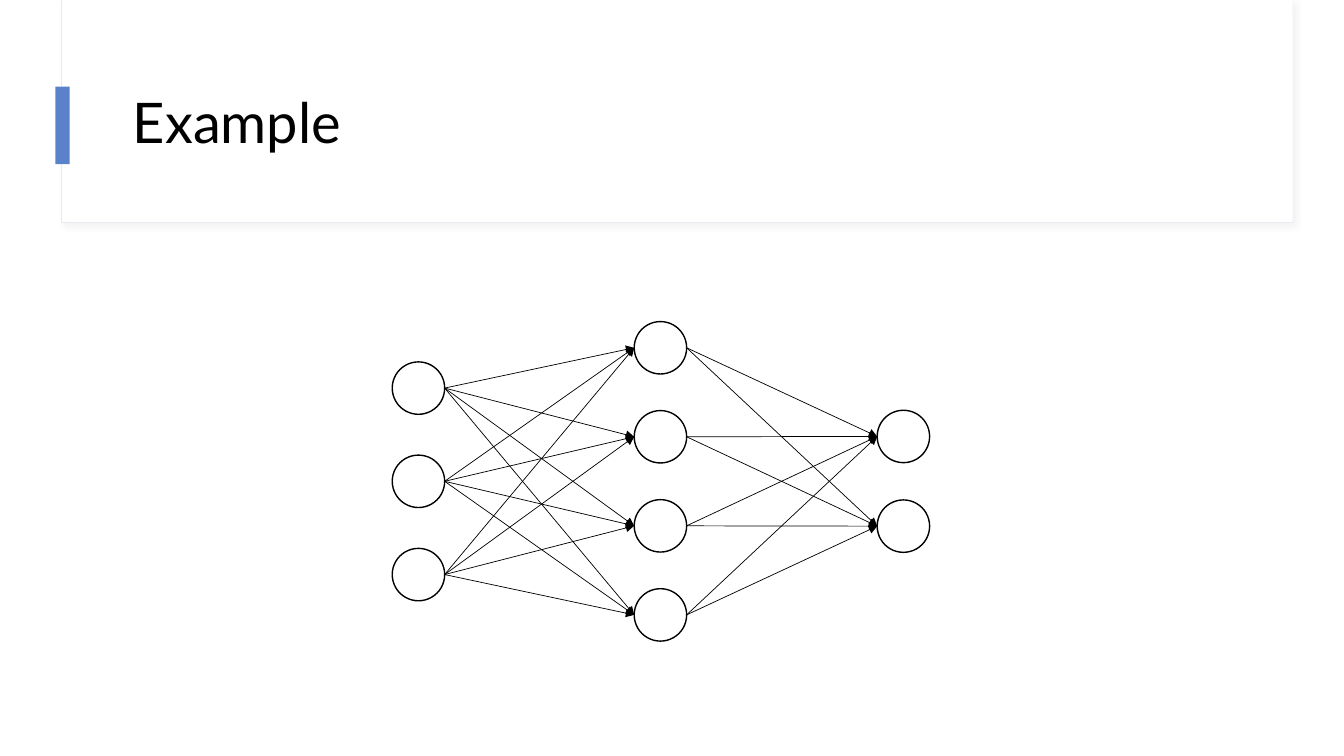
from itertools import pairwise, product

from lxml.etree import SubElement
from pptx import Presentation
from pptx.dml.color import RGBColor
from pptx.enum.shapes import MSO_CONNECTOR as CONNECTOR, MSO_SHAPE as SHAPE
from pptx.enum.text import MSO_ANCHOR as ANCHOR
from pptx.oxml.ns import qn
from pptx.util import Emu, Pt

EMU_PER_PX = 9144  # 100 px to the inch
BLACK = RGBColor(0x00, 0x00, 0x00)
WHITE = RGBColor(0xFF, 0xFF, 0xFF)
BLUE = RGBColor(0x5A, 0x82, 0xCB)
FRAME_GREY = RGBColor(0xE7, 0xEB, 0xF0)
SHADOW_GREY = RGBColor(0xD9, 0xD9, 0xD9)

NODE_SIZE = 52
# left, first top, last top, node count
LAYERS = [(389, 359, 544, 3), (629, 319, 584, 4), (870, 407, 496, 2)]


def px(length):
    return Emu(round(length * EMU_PER_PX))


class Board:
    """Draws elements on the current slide in one style."""

    font = "Lato"

    def __init__(self, slide):
        self.shapes = slide.shapes

    def shape(self, kind, x, y, w, h, fill, line=None, weight=1):
        sp = self.shapes.add_shape(kind, px(x), px(y), px(w), px(h))
        sp.shadow.inherit = False
        sp.fill.solid()
        sp.fill.fore_color.rgb = fill
        if line is None:
            sp.line.fill.background()
        else:
            sp.line.color.rgb = line
            sp.line.width = Pt(weight)
        return sp

    def cast_shadow(self, sp, color):
        effects = sp._element.spPr.find(qn("a:effectLst"))
        shadow = SubElement(effects, qn("a:outerShdw"), blurRad=str(Pt(4)),
                            dist=str(Pt(3)), dir="2700000", algn="tl",
                            rotWithShape="0")
        clr = SubElement(shadow, qn("a:srgbClr"), val=str(color))
        SubElement(clr, qn("a:alpha"), val="30000")

    def text(self, x, y, w, h, words, size):
        tf = self.shapes.add_textbox(px(x), px(y), px(w), px(h)).text_frame
        tf.word_wrap = True
        tf.vertical_anchor = ANCHOR.MIDDLE
        p = tf.paragraphs[0]
        p.line_spacing = 0.9
        r = p.add_run()
        r.text = words
        r.font.name = self.font
        r.font.size = Pt(size)
        r.font.color.rgb = BLACK

    def arrow(self, start, end):
        cxn = self.shapes.add_connector(CONNECTOR.STRAIGHT,
                                        *map(px, start + end))
        cxn.line.color.rgb = BLACK
        cxn.line.width = Pt(0.5)
        SubElement(cxn.line._get_or_add_ln(), qn("a:tailEnd"), type="triangle")
        SubElement(cxn._element.spPr, qn("a:effectLst"))

    def network(self, layers):
        """Draw layers of nodes, each node linked to all of the next layer."""
        columns = []
        for x, first, last, count in layers:
            step = (last - first) / (count - 1)
            columns.append([(x, first + i * step) for i in range(count)])
        for x, y in sum(columns, []):
            self.shape(SHAPE.OVAL, x, y, NODE_SIZE, NODE_SIZE, WHITE, BLACK)
        half = NODE_SIZE / 2
        for sources, targets in pairwise(columns):
            for (x1, y1), (x2, y2) in product(sources, targets):
                self.arrow((x1 + NODE_SIZE, y1 + half), (x2, y2 + half))


def main():
    prs = Presentation()
    prs.slide_width, prs.slide_height = px(1333), px(750)
    board = Board(prs.slides.add_slide(prs.slide_layouts[6]))

    frame = board.shape(SHAPE.RECTANGLE, 61, 0, 1221, 221, WHITE, FRAME_GREY, 0.75)
    board.cast_shadow(frame, SHADOW_GREY)
    board.shape(SHAPE.RECTANGLE, 62, 0, 1220, 220, WHITE)
    board.shape(SHAPE.RECTANGLE, 55, 86, 14, 77, BLUE)
    board.text(122, 60, 1112, 129, "Example", 40)
    board.network(LAYERS)

    prs.save("out.pptx")


if __name__ == "__main__":
    main()
